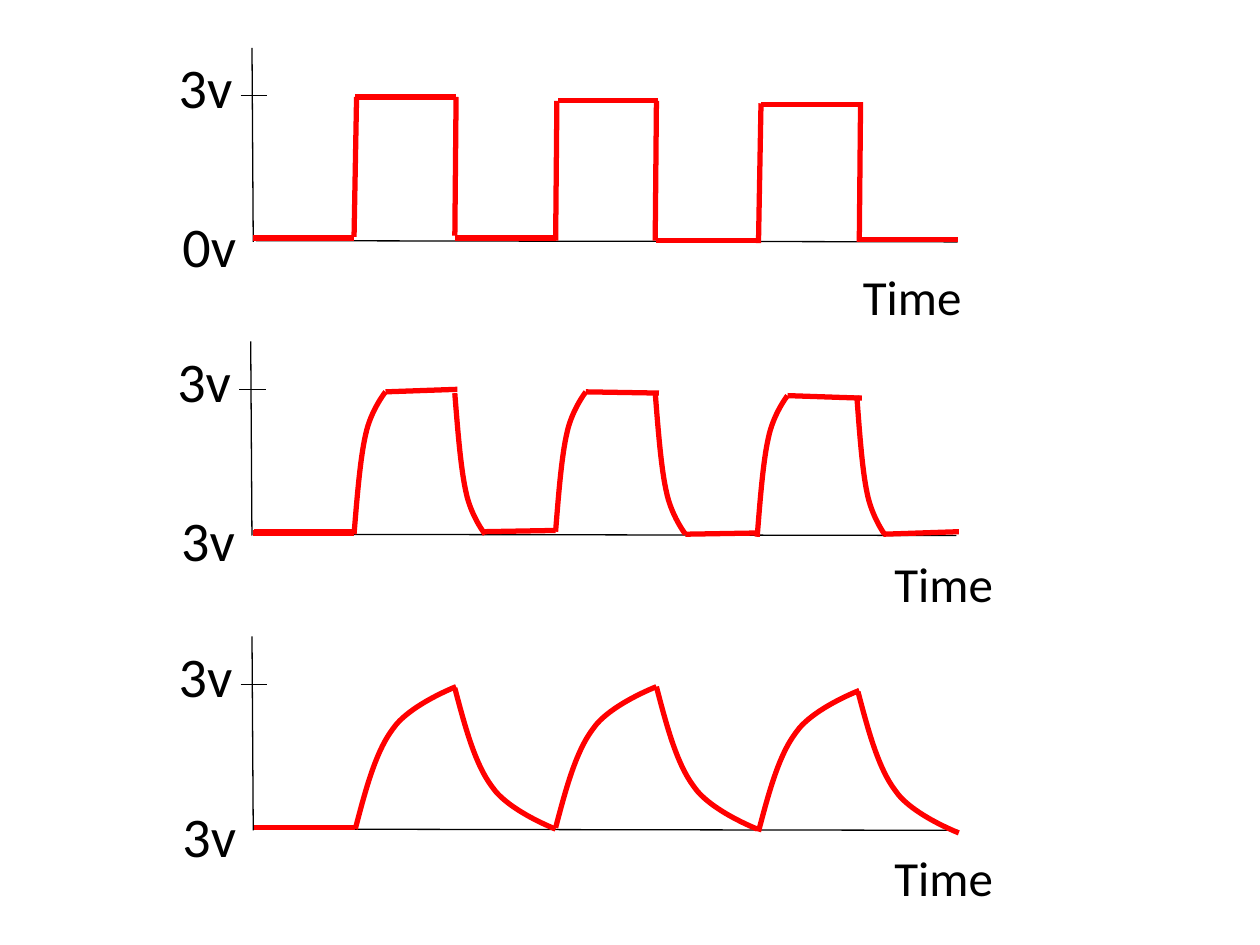
import pptx
import pptx.util
import pptx.dml.color
import pptx.enum.shapes
import pptx.enum.text
import pptx.oxml
import pptx.oxml.ns

COLORS = {"axis": "000000", "signal": "FF0000", "text": "000000"}
WEIGHTS = {"axis": 0.75, "signal": 3}
FRAME_FORMAT = {
    "word_wrap": False,
    "auto_size": pptx.enum.text.MSO_AUTO_SIZE.SHAPE_TO_FIT_TEXT,
}
LABEL_SIZES = {"level": (32, 0.63, 0.64), "time": (28, 0.99, 0.57)}

ORIGIN, HALF_PERIOD = 2.01, 0.8
AXES = [
    (2.03, 1.91, 7.6, 1.92),
    (2.01, 1.92, 2, 0.38),
    (1.91, 0.76, 2.12, 0.76),
]
CURVE = [(0, 0), (0.1, 0.27), (0.2, 0.54), (0.37, 0.7), (0.53, 0.87), (1, 1), (1, 1)]

PANELS = [
    {
        "shift": (0, 0),
        "labels": [("3v", "level", 1.32, 0.37), ("0v", "level", 1.35, 1.63),
                   ("Time", "time", 6.75, 2.07)],
        "flats": [(0, 0, 0.8, 1.89, 1.89), (2, 0, 0.8, 1.89, 1.89),
                  (4, 0, 0.8, 1.91, 1.91), (6, -0.01, 0.8, 1.9, 1.9),
                  (3, 0.02, 0.79, 0.8, 0.8), (1, 0.01, 0.8, 0.77, 0.77),
                  (5, 0.03, 0.8, 0.83, 0.83),
                  (1, 0, 0.02, 1.88, 0.77), (2, 0, 0.01, 1.87, 0.77),
                  (3, 0, 0.01, 1.91, 0.8), (4, -0.01, 0.01, 1.91, 0.8),
                  (5, 0.01, 0.02, 1.93, 0.82), (6, 0.01, 0.01, 1.92, 0.81)],
        "curves": [],
    },
    {
        "shift": (-0.01, 2.33),
        "labels": [("3v", "level", 1.32, 0.37), ("3v", "level", 1.35, 1.63),
                   ("Time", "time", 7.01, 2.01)],
        "flats": [(0, 0.01, 0.8, 1.9, 1.9), (0, 0.02, 0.8, 1.89, 1.89),
                  (2, 0.24, 0.57, 1.89, 1.88), (4, 0.24, 0.58, 1.91, 1.9),
                  (6, 0.21, 0.6, 1.91, 1.89), (3, 0.25, 0.58, 0.78, 0.79),
                  (1, 0.26, 0.57, 0.78, 0.76), (5, 0.25, 0.59, 0.81, 0.83)],
        "curves": [(1, 0.01, 0.25, 1.91, 0.78), (2, 0.01, 0.24, 0.79, 1.91),
                   (3, 0.01, 0.24, 1.89, 0.78), (4, 0, 0.24, 0.78, 1.91),
                   (5, 0.01, 0.24, 1.93, 0.81), (6, 0, 0.22, 0.81, 1.91)],
    },
    {
        "shift": (0, 4.67),
        "labels": [("3v", "level", 1.32, 0.37), ("3v", "level", 1.35, 1.64),
                   ("Time", "time", 7, 2.01)],
        "flats": [(0, 0.01, 0.8, 1.9, 1.9)],
        "curves": [(1, 0.01, 0.8, 1.91, 0.78), (2, 0, 0.8, 0.79, 1.91),
                   (3, 0, 0.8, 1.9, 0.78), (4, 0, 0.8, 0.78, 1.91),
                   (5, 0.01, 0.8, 1.93, 0.81), (6, 0, 0.8, 0.82, 1.94)],
    },
]

inches = pptx.util.Inches
qn = pptx.oxml.ns.qn


def color(role):
    return pptx.dml.color.RGBColor.from_string(COLORS[role])


def style_stroke(stroke, role):
    stroke.line.color.rgb = color(role)
    stroke.line.width = pptx.util.Pt(WEIGHTS[role])


def draw_line(slide, ends, shift, role):
    dx, dy = shift
    x1, y1, x2, y2 = ends
    segment = slide.shapes.add_connector(
        pptx.enum.shapes.MSO_CONNECTOR.STRAIGHT,
        inches(x1 + dx), inches(y1 + dy), inches(x2 + dx), inches(y2 + dy))
    style_stroke(segment, role)
    properties = segment._element.find(qn("p:spPr"))
    properties.append(pptx.oxml.parse_xml(
        f"<a:effectLst {pptx.oxml.ns.nsdecls('a')}/>"))


def bend(ramp):
    outline = next(ramp._element.iter(qn("a:path")))
    straights = outline.findall(qn("a:lnTo"))
    for start in range(0, len(straights), 3):
        arc = outline.makeelement(qn("a:cubicBezTo"), {})
        for straight in straights[start:start + 3]:
            arc.append(straight[0])
            outline.remove(straight)
        outline.append(arc)


def draw_curve(slide, ends, shift):
    x1, y1, x2, y2 = ends
    points = [(inches(x1 + shift[0] + u * (x2 - x1)),
               inches(y1 + shift[1] + v * (y2 - y1))) for u, v in CURVE]
    builder = slide.shapes.build_freeform(*points[0])
    for point in points[1:]:
        builder.add_line_segments([point], close=False)
    ramp = builder.convert_to_shape()
    bend(ramp)
    ramp.shadow.inherit = False
    ramp.fill.background()
    style_stroke(ramp, "signal")


def draw_label(slide, wording, kind, left, top, shift):
    size, width, height = LABEL_SIZES[kind]
    label = slide.shapes.add_textbox(
        inches(left + shift[0]), inches(top + shift[1]), inches(width), inches(height))
    for attribute, value in FRAME_FORMAT.items():
        setattr(label.text_frame, attribute, value)
    run = label.text_frame.paragraphs[0].add_run()
    run.text = wording
    for attribute, value in {"name": "Calibri", "size": pptx.util.Pt(size)}.items():
        setattr(run.font, attribute, value)
    run.font.color.rgb = color("text")


def signal_ends(column, nudge, width, start_y, end_y):
    start_x = ORIGIN + column * HALF_PERIOD + nudge
    return start_x, start_y, start_x + width, end_y


def main():
    deck = pptx.Presentation()
    deck.slide_width, deck.slide_height = inches(10), inches(7.5)
    slide = deck.slides.add_slide(deck.slide_layouts[6])
    for panel in PANELS:
        shift = panel["shift"]
        for axis in AXES:
            draw_line(slide, axis, shift, "axis")
        for label in panel["labels"]:
            draw_label(slide, *label, shift)
        for curve in panel["curves"]:
            draw_curve(slide, signal_ends(*curve), shift)
        for flat in panel["flats"]:
            draw_line(slide, signal_ends(*flat), shift, "signal")
    deck.save("out.pptx")


if __name__ == "__main__":
    main()
